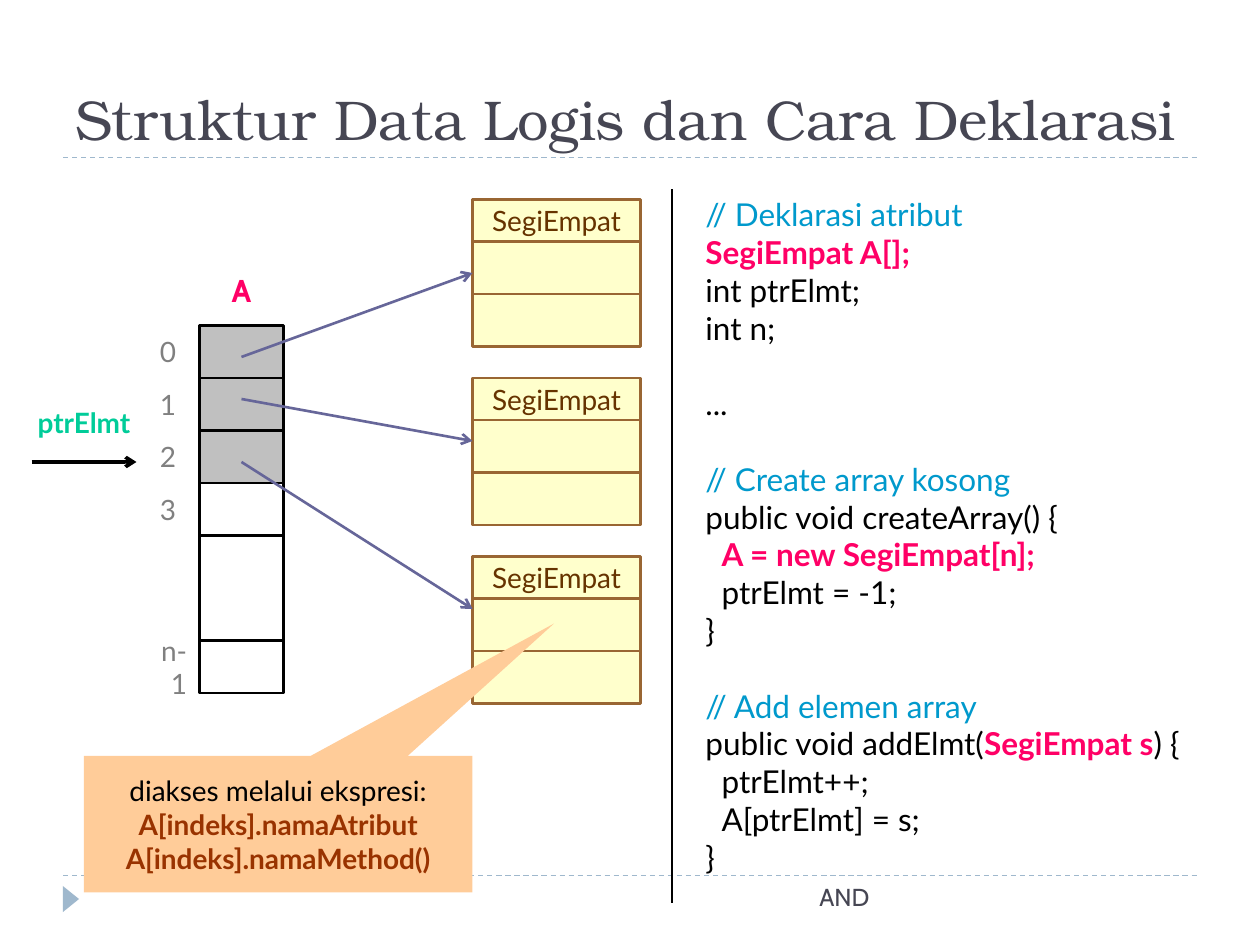
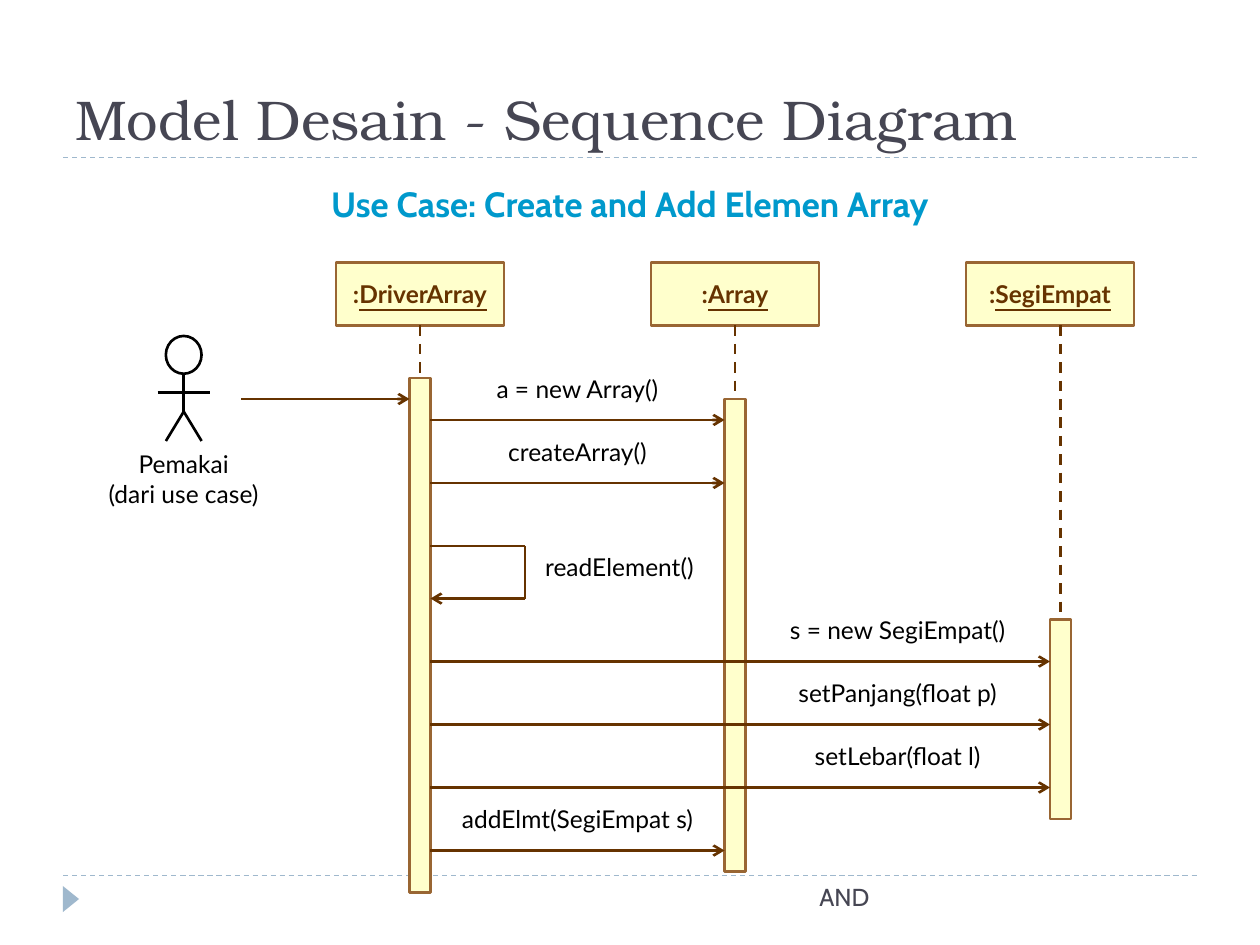
"""Build two slides on arrays of objects: data structure and sequence diagram."""
import pptx
import pptx.dml.color
import pptx.enum.dml
import pptx.enum.shapes
import pptx.enum.text
import pptx.oxml.ns
import pptx.util
from lxml import etree

RGB = pptx.dml.color.RGBColor
SHAPE = pptx.enum.shapes.MSO_SHAPE
ALIGN = pptx.enum.text.PP_ALIGN
ANCHOR = pptx.enum.text.MSO_ANCHOR
Pt = pptx.util.Pt

WIDTH, HEIGHT = pptx.util.Inches(10), pptx.util.Inches(7.5)
COLUMNS, ROWS = 120, 90

BLACK = RGB(0x00, 0x00, 0x00)
SLATE = RGB(0x46, 0x46, 0x53)
MIST = RGB(0x9F, 0xB8, 0xCD)
GRAY = RGB(0x80, 0x80, 0x80)
SILVER = RGB(0xC0, 0xC0, 0xC0)
CREAM = RGB(0xFF, 0xFF, 0xCC)
TAN = RGB(0x99, 0x66, 0x33)
BROWN = RGB(0x66, 0x33, 0x00)
RUST = RGB(0x99, 0x33, 0x00)
PEACH = RGB(0xFF, 0xCC, 0x99)
PINK = RGB(0xFF, 0x00, 0x66)
BLUE = RGB(0x00, 0x99, 0xCC)
GREEN = RGB(0x00, 0xCC, 0x99)
INDIGO = RGB(0x66, 0x66, 0x99)

TITLE = {"name": "TeX Gyre Bonum", "size": Pt(32), "color": SLATE}
FOOTER = {"name": "Cabin", "size": Pt(14), "color": SLATE}
HEADING = {"name": "Cabin", "size": Pt(20), "color": BLUE, "bold": True}
ARRAY_NAME = {"name": "Cabin", "size": Pt(18), "color": PINK, "bold": True}
CODE = {"name": "Lato", "size": Pt(18), "color": BLACK}
COMMENT = {**CODE, "color": BLUE}
KEY = {**CODE, "color": PINK, "bold": True}
INDEX = {"name": "Lato", "size": Pt(16), "color": GRAY}
POINTER = {**INDEX, "color": GREEN, "bold": True}
CARD = {**INDEX, "color": BROWN}
NOTE = {**INDEX, "color": BLACK}
NOTE_KEY = {**INDEX, "color": RUST, "bold": True}
LABEL = {"name": "Lato", "size": Pt(14), "color": BLACK}
OBJECT = {**LABEL, "color": BROWN, "bold": True}

MIDDLE = {"vertical_anchor": ANCHOR.MIDDLE}
UNWRAPPED = {**MIDDLE, "word_wrap": False}
FLUSH = {**MIDDLE, "margin_left": 0, "margin_right": 0}

CODE_BLOCKS = [
    [[("// Deklarasi atribut", COMMENT)], [("SegiEmpat A[];", KEY)],
     [("int ptrElmt;", CODE)], [("int n;", CODE)]],
    [[("...", CODE)]],
    [[("// Create array kosong", COMMENT)],
     [("public void createArray() {", CODE)],
     [("A = new SegiEmpat[n];", KEY)],
     [("ptrElmt = -1;", CODE)], [("}", CODE)]],
    [[("// Add elemen array", COMMENT)],
     [("public void addElmt(", CODE), ("SegiEmpat s", KEY), (") {", CODE)],
     [("ptrElmt++;", CODE)], [("A[ptrElmt] = s;", CODE)], [("}", CODE)]],
]


def across(columns):
    """Turn grid columns into a length."""
    return round(WIDTH * columns / COLUMNS)


def down(rows):
    """Turn grid rows into a length."""
    return round(HEIGHT * rows / ROWS)


def place(left, top, width, height):
    """Turn a grid area into left, top, width and height."""
    return across(left), down(top), across(width), down(height)


def write(box, lines, align=ALIGN.LEFT, frame=None):
    """Fill a box with lines, each a list of (words, style) pairs."""
    text = box.text_frame
    for key, value in {"word_wrap": True, **(frame or {})}.items():
        setattr(text, key, value)
    for number, line in enumerate(lines):
        para = text.paragraphs[0] if number == 0 else text.add_paragraph()
        para.alignment = align
        for words, style in line:
            span = para.add_run()
            span.text = words
            for key, value in style.items():
                if key == "color":
                    span.font.color.rgb = value
                else:
                    setattr(span.font, key, value)
    return text


def add_text(page, area, lines, align=ALIGN.CENTER, frame=None):
    """Add a text box on a grid area."""
    return write(page.shapes.add_textbox(*place(*area)), lines, align, frame)


def add_box(shapes, area, fill=None, line=None, kind=SHAPE.RECTANGLE):
    """Add a flat shape, with fill and outline where given."""
    box = shapes.add_shape(kind, *place(*area))
    box.shadow.inherit = False
    if fill is None:
        box.fill.background()
    else:
        box.fill.solid()
        box.fill.fore_color.rgb = fill
    if line is None:
        box.line.fill.background()
    else:
        box.line.color.rgb = line
        box.line.width = Pt(1.5)
    return box


def add_line(shapes, start, end, color, width=1.5, dashed=False, arrow=False):
    """Add a straight line between two grid points."""
    line = shapes.add_connector(
        pptx.enum.shapes.MSO_CONNECTOR.STRAIGHT,
        across(start[0]), down(start[1]), across(end[0]), down(end[1]))
    line.line.color.rgb = color
    line.line.width = Pt(width)
    if dashed:
        line.line.dash_style = pptx.enum.dml.MSO_LINE.DASH
    if arrow:
        outline = line.line._get_or_add_ln()
        etree.SubElement(outline, pptx.oxml.ns.qn("a:tailEnd"), type="arrow")
    etree.SubElement(line._element.spPr, pptx.oxml.ns.qn("a:effectLst"))


def add_page(deck, title):
    """Add a blank page with the shared rules, marker, title and footer."""
    page = deck.slides.add_slide(deck.slide_layouts[6])
    for row in (83.4, 15):
        add_line(page.shapes, (6, row), (114, row), MIST, 0.75, dashed=True)
    marker = add_box(page.shapes, (5.5, 84.85, 2.5, 1.55), MIST,
                     kind=SHAPE.ISOSCELES_TRIANGLE)
    marker.rotation = 90
    add_text(page, (6, 2, 108, 13), [[(title, TITLE)]], ALIGN.LEFT,
             {"vertical_anchor": ANCHOR.BOTTOM})
    add_text(page, (38, 83.4, 46, 4.8), [[("AND", FOOTER)]], ALIGN.RIGHT)
    return page


def add_code(page):
    """Add the code column, with a gap before each later block."""
    lines = [line for block in CODE_BLOCKS for line in block]
    text = add_text(page, (66, 18, 51, 66), lines, ALIGN.LEFT)
    paras = iter(text.paragraphs)
    for number, block in enumerate(CODE_BLOCKS):
        for row in range(len(block)):
            para = next(paras)
            if number and row == 0:
                para.space_before = Pt(21.6)
            if number > 1 and 2 <= row < len(block) - 1:
                para._p.get_or_add_pPr().set("marL", str(across(1.55)))


def add_array(page):
    """Add the array cells with their indexes."""
    cells = [("0", 5, SILVER), ("1", 5, SILVER), ("2", 5, SILVER),
             ("3", 5, None), (None, 10, None), ("n-1", 5, None)]
    top = 31
    for index, height, fill in cells:
        add_box(page.shapes, (19, top, 8, height), fill, BLACK)
        if index:
            align = ALIGN.RIGHT if index == "n-1" else ALIGN.CENTER
            add_text(page, (13, top, 6, height), [[(index, INDEX)]], align,
                     UNWRAPPED)
        top += height
    add_text(page, (19, 25.2, 8, 4.8), [[("A", ARRAY_NAME)]])


def add_card(page, top):
    """Add one object card: a named header over two empty cells."""
    header = add_box(page.shapes, (45, top, 16, 4), CREAM, TAN)
    write(header, [[("SegiEmpat", CARD)]], ALIGN.CENTER, UNWRAPPED)
    for offset in (4, 9):
        add_box(page.shapes, (45, top + offset, 16, 5), CREAM, TAN)


def build_structure(deck):
    """Build the page on the logical data structure."""
    page = add_page(deck, "Struktur Data Logis dan Cara Deklarasi")
    add_code(page)
    add_array(page)
    for number in range(3):
        add_card(page, 19 + 17 * number)
    for start, end in ((34, 26), (38, 42), (44, 58)):
        add_line(page.shapes, (23, start), (45, end), INDIGO, arrow=True)
    add_line(page.shapes, (3, 44), (13, 44), BLACK, 2, arrow=True)
    add_text(page, (3, 38, 10, 5), [[("ptrElmt", POINTER)]],
             frame={**FLUSH, "vertical_anchor": ANCHOR.TOP,
                    "word_wrap": False})
    note = add_box(page.shapes, (8, 72, 37, 13), PEACH,
                   kind=SHAPE.RECTANGULAR_CALLOUT)
    note.adjustments[0], note.adjustments[1] = 0.71, -1.47
    write(note, [[("diakses melalui ekspresi:", NOTE)],
                 [("A[indeks].namaAtribut", NOTE_KEY)],
                 [("A[indeks].namaMethod()", NOTE_KEY)]],
          ALIGN.CENTER, MIDDLE)
    add_line(page.shapes, (64, 18), (64, 86), BLACK, 0.75)


def add_lifeline(page, name, left, center, top, height):
    """Add an object header, its dashed lifeline and its activation bar."""
    header = add_box(page.shapes, (left, 25, 16, 6), CREAM, TAN)
    write(header, [[(":", OBJECT), (name, {**OBJECT, "underline": True})]],
          ALIGN.CENTER, UNWRAPPED)
    add_line(page.shapes, (center, 31), (center, top), BROWN, dashed=True)
    add_box(page.shapes, (center - 1, top, 2, height), CREAM, TAN)


def add_message(page, words, row, end, label_left):
    """Add a message arrow from the driver with its label above."""
    add_line(page.shapes, (41, row), (end, row), BROWN, arrow=True)
    add_text(page, (label_left, row - 5, end - 1 - label_left, 4),
             [[(words, LABEL)]], frame=FLUSH)


def add_self_message(page, words):
    """Add the message that the driver sends to itself."""
    corners = [(41, 52), (50, 52), (50, 57), (41, 57)]
    for start, end in zip(corners, corners[1:]):
        add_line(page.shapes, start, end, BROWN, arrow=end == corners[-1])
    add_text(page, (50, 52, 18, 4), [[(words, LABEL)]], frame=FLUSH)


def add_actor(page):
    """Add the stick figure, its caption and its arrow to the driver."""
    figure = page.shapes.add_group_shape().shapes
    add_box(figure, (15.8, 32, 3.4, 3.6), line=BLACK, kind=SHAPE.OVAL)
    for start, end in (((17.5, 35.6), (17.5, 39.2)), ((15, 37.4), (20, 37.4)),
                       ((17.5, 39.2), (15.8, 42)), ((17.5, 39.2), (19.2, 42))):
        add_line(figure, start, end, BLACK)
    add_text(page, (9, 42.2, 17, 6.8),
             [[("Pemakai", LABEL)], [("(dari use case)", LABEL)]], frame=FLUSH)
    add_line(page.shapes, (23, 38), (39, 38), BROWN, arrow=True)


def build_sequence(deck):
    """Build the page with the sequence diagram."""
    page = add_page(deck, "Model Desain - Sequence Diagram")
    add_lifeline(page, "DriverArray", 32, 40, 36, 49)
    add_lifeline(page, "Array", 62, 70, 38, 45)
    add_lifeline(page, "SegiEmpat", 92, 101, 59, 19)
    for words, row in (("a = new Array()", 40), ("createArray()", 46),
                       ("addElmt(SegiEmpat s)", 81)):
        add_message(page, words, row, 69, 42)
    for words, row in (("s = new SegiEmpat()", 63),
                       ("setPanjang(float p)", 69), ("setLebar(float l)", 75)):
        add_message(page, words, row, 100, 72)
    add_self_message(page, "readElement()")
    add_actor(page)
    add_text(page, (18, 16.8, 84, 5.2),
             [[("Use Case: Create and Add Elemen Array", HEADING)]])


def main():
    """Build and save the deck."""
    deck = pptx.Presentation()
    deck.slide_width, deck.slide_height = WIDTH, HEIGHT
    build_structure(deck)
    build_sequence(deck)
    deck.save("out.pptx")


main()
